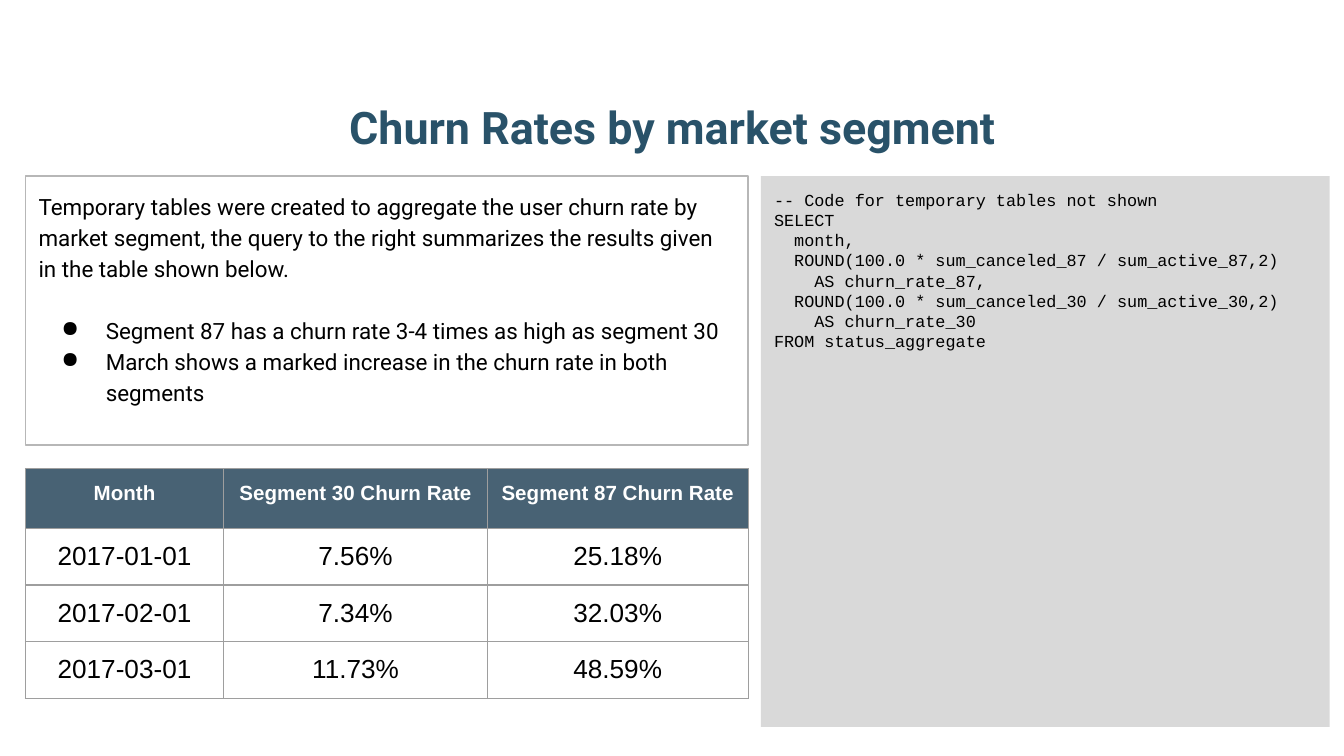
from lxml.etree import SubElement
from pptx import Presentation
from pptx.dml.color import RGBColor
from pptx.enum.shapes import MSO_SHAPE
from pptx.enum.text import MSO_ANCHOR, MSO_AUTO_SIZE, PP_ALIGN
from pptx.oxml.ns import qn
from pptx.util import Cm, Pt

TITLE = "Churn Rates by market segment"
INTRO = (
    "Temporary tables were created to aggregate the user churn rate by "
    "market segment, the query to the right summarizes the results given "
    "in the table shown below."
)
FINDINGS = [
    "Segment 87 has a churn rate 3-4 times as high as segment 30",
    "March shows a marked increase in the churn rate in both segments",
]
QUERY = """-- Code for temporary tables not shown
SELECT
  month,
  ROUND(100.0 * sum_canceled_87 / sum_active_87,2)
    AS churn_rate_87,
  ROUND(100.0 * sum_canceled_30 / sum_active_30,2)
    AS churn_rate_30
FROM status_aggregate"""
CHURN = [
    ("Month", "Segment 30 Churn Rate", "Segment 87 Churn Rate"),
    ("2017-01-01", "7.56%", "25.18%"),
    ("2017-02-01", "7.34%", "32.03%"),
    ("2017-03-01", "11.73%", "48.59%"),
]
COLUMN_WIDTHS = [3.75, 4.98, 4.93]
ROW_HEIGHTS = [1.13, 1.07, 1.07, 1.07]
LEFT, TOP, PANEL_WIDTH = 0.48, 3.33, sum(COLUMN_WIDTHS)
INSET = Cm(0.25)


def color(value):
    return RGBColor.from_string(value)


def write(frame, text, font="Arial", size=12, ink="000000", bold=False,
          align=PP_ALIGN.LEFT, spacing=1.0, before=0, bullet=None):
    """Append text to a frame as one formatted paragraph."""
    para = frame.paragraphs[0] if not frame.text else frame.add_paragraph()
    if bullet:
        properties = para._p.get_or_add_pPr()
        properties.set("marL", str(Cm(1.27)))
        properties.set("indent", str(-Cm(0.84)))
        SubElement(properties, qn("a:buChar")).set("char", bullet)
    para.alignment = align
    para.line_spacing = spacing
    para.space_before = Pt(before)
    span = para.add_run()
    span.text = text
    span.font.name = font
    span.font.size = Pt(size)
    span.font.bold = bold
    span.font.color.rgb = color(ink)


def set_insets(target):
    target.margin_left = target.margin_right = INSET
    target.margin_top = target.margin_bottom = INSET


def add_panel(page, left, top, width, height, fill=None, line=None):
    panel = page.shapes.add_shape(
        MSO_SHAPE.RECTANGLE, Cm(left), Cm(top), Cm(width), Cm(height))
    panel.shadow.inherit = False
    if fill:
        panel.fill.solid()
        panel.fill.fore_color.rgb = color(fill)
    else:
        panel.fill.background()
    if line:
        panel.line.color.rgb = color(line)
        panel.line.width = Pt(0.75)
    else:
        panel.line.fill.background()
    frame = panel.text_frame
    frame.word_wrap = True
    frame.vertical_anchor = MSO_ANCHOR.TOP
    set_insets(frame)
    return frame


def add_borders(cell, ink):
    properties = cell._tc.get_or_add_tcPr()
    for position, side in enumerate(("lnL", "lnR", "lnT", "lnB")):
        line = SubElement(properties, qn(f"a:{side}"), w=str(Pt(0.75)))
        fill = SubElement(line, qn("a:solidFill"))
        SubElement(fill, qn("a:srgbClr"), val=ink)
        properties.insert(position, line)


def add_churn_table(page, left, top):
    table = page.shapes.add_table(
        len(CHURN), len(COLUMN_WIDTHS), Cm(left), Cm(top),
        Cm(PANEL_WIDTH), Cm(sum(ROW_HEIGHTS))).table
    table.horz_banding = False
    for column, width in zip(table.columns, COLUMN_WIDTHS):
        column.width = Cm(width)
    for row, height, values in zip(table.rows, ROW_HEIGHTS, CHURN):
        row.height = Cm(height)
        header = values is CHURN[0]
        for cell, value in zip(row.cells, values):
            set_insets(cell)
            if header:
                cell.fill.solid()
                cell.fill.fore_color.rgb = color("204056")
                tint = cell._tc.tcPr.find(".//" + qn("a:srgbClr"))
                SubElement(tint, qn("a:alpha"), val="82000")
            else:
                cell.fill.background()
            add_borders(cell, "9E9E9E")
            write(cell.text_frame, value, size=11 if header else 14,
                  ink="FFFFFF" if header else "000000", bold=header,
                  align=PP_ALIGN.CENTER)


def main():
    deck = Presentation()
    deck.slide_width, deck.slide_height = Cm(25.4), Cm(14.29)
    page = deck.slides.add_slide(deck.slide_layouts[5])

    title = page.shapes.title
    title.left, title.top = Cm(0.87), Cm(0.82)
    title.width, title.height = Cm(23.67), Cm(2.33)
    frame = title.text_frame
    frame.auto_size = MSO_AUTO_SIZE.NONE
    frame.vertical_anchor = MSO_ANCHOR.BOTTOM
    set_insets(frame)
    write(frame, TITLE, font="Roboto", size=24, ink="295269", bold=True,
          align=PP_ALIGN.CENTER)

    code = add_panel(page, 14.38, TOP, 10.75, 10.41, fill="D9D9D9")
    for line in QUERY.splitlines():
        write(code, line, font="Courier New", size=9)

    summary = add_panel(page, LEFT, TOP, PANEL_WIDTH, 5.08, line="B7B7B7")
    write(summary, INTRO, font="Roboto", spacing=1.15)
    for finding in FINDINGS:
        write(summary, finding, font="Roboto", spacing=1.15, bullet="●",
              before=16.5 if finding is FINDINGS[0] else 0)

    add_churn_table(page, LEFT, 8.86)
    deck.save("out.pptx")


if __name__ == "__main__":
    main()
